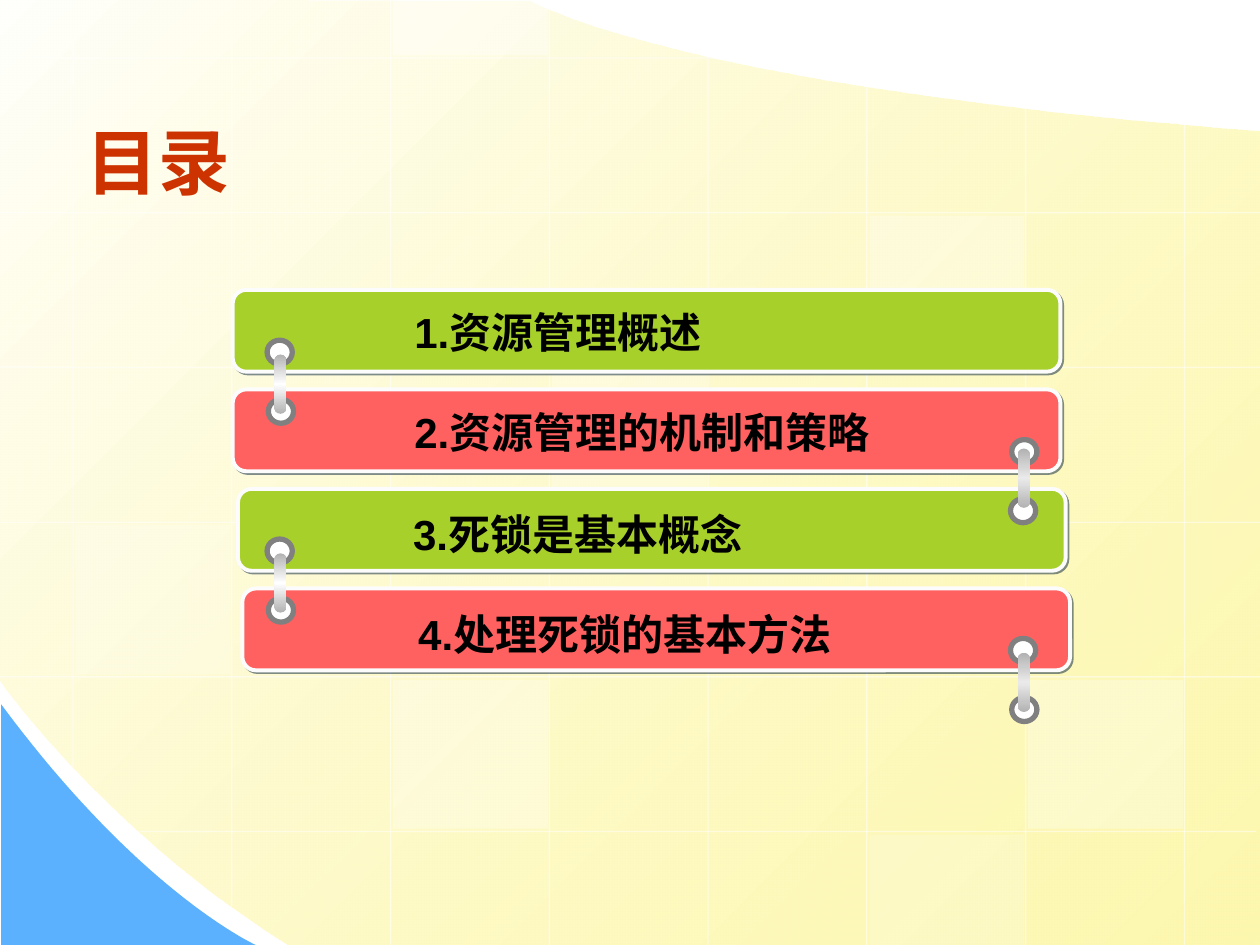
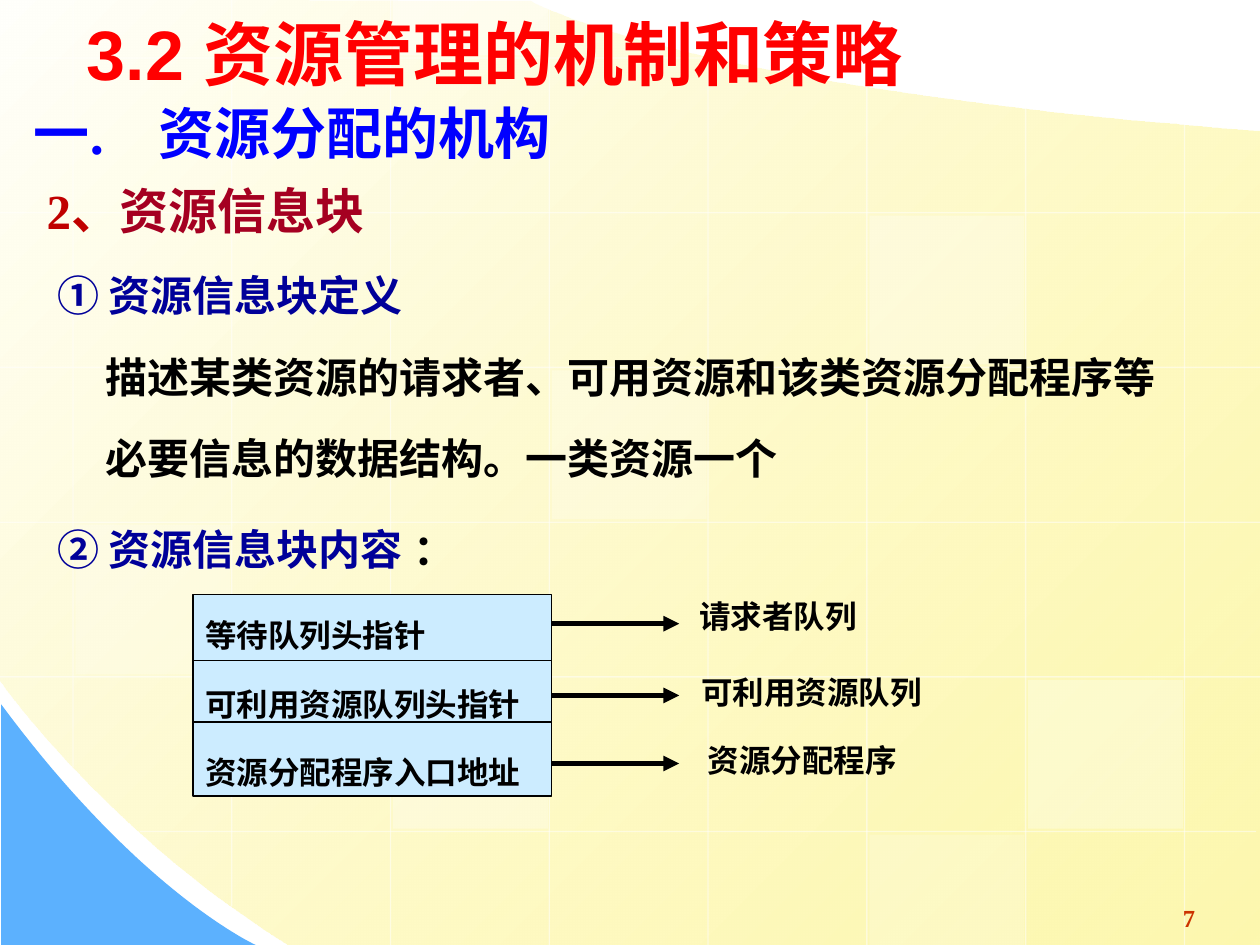
from lxml.etree import SubElement
from pptx import Presentation
from pptx.dml.color import RGBColor
from pptx.enum.shapes import MSO_CONNECTOR, MSO_SHAPE
from pptx.enum.text import MSO_ANCHOR, MSO_AUTO_SIZE, PP_ALIGN
from pptx.oxml import parse_xml
from pptx.oxml.ns import nsdecls, qn
from pptx.util import Pt

WIDTH, HEIGHT = 720, 540
WHITE, BLACK, GRAY = "FFFFFF", "000000", "808080"
GREEN, CORAL, SKY, PALE_BLUE = "A8D02A", "FF6161", "5CB1FE", "CCECFF"
RUST, RED, NAVY, BLUE = "CC3300", "FF0000", "000099", "0000FF"
SANS, SERIF, CHINESE = "Arial", "Times New Roman", "Noto Sans CJK SC"

COLUMN_START, COLUMN_STEP = 41.76, 90.72
ROW_START, ROW_STEP = 33.12, 88.42
COLUMN_SPANS = [(0, 438.5), (0, 517.7), (0, 540), (0, 541.4),
                (31, 541.4), (49, 541.4), (61.2, 541.4), (70.6, 541.4)]
ROW_SPANS = [(0, 409), (0, 720.7), (0, 720.7), (0, 720.7), (0, 720.7), (79.9, 717.8)]
TILES = [(3, 2, 25), (6, 4, 30), (0, 3, 20), (5, 5, 20), (2, -1, 40), (2, 4, 30), (5, 1, 30)]

CONTENTS_TITLE = "目录"
CONTENTS = [
    ("1.资源管理概述", GREEN, 133, (194.4, 171.4)),
    ("2.资源管理的机制和策略", CORAL, 133, (194.4, 229)),
    ("3.死锁是基本概念", GREEN, 136, (193.7, 287.3)),
    ("4.处理死锁的基本方法", CORAL, 138.5, (196.6, 344.2)),
]
CARD_TOP, CARD_STEP = 165.6, 56.88

SECTION_TITLE = "3.2 资源管理的机制和策略"
SECTION_HEADING = "一.\t资源分配的机构"
BODY = [
    (0, [("2、", dict(size=28, color="C00000")), ("资源信息块", dict(size=28, color="A50021"))]),
    (6, [("① 资源信息块定义", dict(size=24, color=NAVY))]),
    (33.5, [("描述某类资源的请求者、可用资源和该类资源分配程序等", dict(size=24))]),
    (33.5, [("必要信息的数据结构。一类资源一个", dict(size=24))]),
    (6, [("② ", dict(size=24, color=NAVY, font=CHINESE)),
         ("资源信息块内容", dict(size=24, color=NAVY)),
         (" ", dict(size=28)), ("：", dict(size=24))]),
]
FIELDS = ["等待队列头指针", "可利用资源队列头指针", "资源分配程序入口地址"]
TARGETS = [
    ("请求者队列", (392.4, 337.7, 106, 29), 356.4),
    ("可利用资源队列", (393.8, 380.9, 144, 29), 397.4),
    ("资源分配程序", (397.4, 419.8, 138, 29), 436.3),
]
DIVIDERS = [377.3, 412.6]
PAGE_NUMBER = "7"


def rgb(value):
    return RGBColor.from_string(value)


def place(shape, left, top, width, height):
    shape.left, shape.top, shape.width, shape.height = map(Pt, (left, top, width, height))


def fade(shape, alpha):
    for color in shape.element.xpath(".//a:srgbClr"):
        SubElement(color, qn("a:alpha"), val=str(alpha * 1000))


def paint(shape, fill, line=None, line_width=0.75):
    shape.shadow.inherit = False
    shape.fill.solid()
    shape.fill.fore_color.rgb = rgb(fill)
    if line:
        shape.line.color.rgb = rgb(line)
        shape.line.width = Pt(line_width)
    else:
        shape.line.fill.background()
    return shape


def add_shape(slide, kind, box, *colors):
    return paint(slide.shapes.add_shape(kind, *map(Pt, box)), *colors)


def set_gradient(shape, stops, angle):
    marks = "".join(
        f'<a:gs pos="{position * 1000}"><a:srgbClr val="{color}">'
        f'<a:alpha val="{alpha * 1000}"/></a:srgbClr></a:gs>'
        for position, color, alpha in stops)
    gradient = parse_xml(
        f'<a:gradFill {nsdecls("a")} rotWithShape="1"><a:gsLst>{marks}</a:gsLst>'
        f'<a:lin ang="{angle * 60000}" scaled="0"/></a:gradFill>')
    solid = shape.element.spPr.find(qn("a:solidFill"))
    solid.getparent().replace(solid, gradient)


def add_line(slide, start, end, color, width, arrow=False):
    line = slide.shapes.add_connector(MSO_CONNECTOR.STRAIGHT, *map(Pt, (*start, *end)))
    line.line.color.rgb = rgb(color)
    line.line.width = Pt(width)
    if arrow:
        SubElement(line.element.spPr.find(qn("a:ln")), qn("a:tailEnd"), type="triangle")
    SubElement(line.element.spPr, qn("a:effectLst"))
    return line


def curve(start, first, second, end, steps=40):
    for step in range(1, steps + 1):
        t = step / steps
        weights = ((1 - t) ** 3, 3 * t * (1 - t) ** 2, 3 * t * t * (1 - t), t ** 3)
        yield tuple(sum(w * p[axis] for w, p in zip(weights, (start, first, second, end)))
                    for axis in (0, 1))


def add_outline(slide, points, fill):
    start, *rest = [(Pt(x), Pt(y)) for x, y in points]
    builder = slide.shapes.build_freeform(*start)
    builder.add_line_segments(rest, close=True)
    return paint(builder.convert_to_shape(), fill)


def arrange(paragraph, align=PP_ALIGN.LEFT, left=0, hang=0, before=0, spacing=None):
    properties = paragraph._p.get_or_add_pPr()
    properties.set("marL", str(Pt(left)))
    properties.set("indent", str(-Pt(hang)))
    SubElement(properties, qn("a:buNone"))
    paragraph.alignment = align
    paragraph.space_before = Pt(before)
    if spacing:
        paragraph.line_spacing = spacing
    return paragraph


def write(paragraph, text, size=18, color=BLACK, font=SERIF, shadow=False):
    run = paragraph.add_run()
    run.text = text
    run.font.size = Pt(size)
    run.font.bold = True
    run.font.color.rgb = rgb(color)
    run.font.name = font
    properties = run.font._element
    properties.find(qn("a:latin")).addnext(
        parse_xml(f'<a:ea {nsdecls("a")} typeface="{CHINESE}"/>'))
    if shadow:
        properties.find(qn("a:solidFill")).addnext(parse_xml(
            f'<a:effectLst {nsdecls("a")}><a:outerShdw blurRad="38100" dist="38100" '
            'dir="2700000"><a:srgbClr val="C0C0C0"/></a:outerShdw></a:effectLst>'))


def prepare(shape, anchor=MSO_ANCHOR.TOP):
    frame = shape.text_frame
    frame.word_wrap = True
    frame.auto_size = MSO_AUTO_SIZE.NONE
    frame.vertical_anchor = anchor
    return frame


def add_text(slide, text, box, left=0, hang=0, **text_format):
    frame = prepare(slide.shapes.add_textbox(*map(Pt, box)))
    write(arrange(frame.paragraphs[0], left=left, hang=hang), text, **text_format)


def set_title(slide, text, box, **text_format):
    title = slide.shapes.title
    place(title, *box)
    frame = prepare(title, MSO_ANCHOR.MIDDLE)
    write(arrange(frame.paragraphs[0]), text, font=SANS, **text_format)


def build_background(presentation, slide):
    existing = len(slide.shapes)
    band = add_outline(slide, [
        (720, 74.88), (720, 540), (165.6, 540),
        *curve((165.6, 540), (61.92, 475.92), (-0.72, 388.08), (0, 388.08)),
        (-0.72, -0.72), (303.12, 0.72),
        *curve((303.12, 0.72), (303.12, 0.72), (386.64, 49.68), (720, 74.88))], WHITE)
    set_gradient(band, [(0, "FFFFFB", 100), (100, "FDF58D", 70)], 45)
    add_outline(slide, [
        (0.72, 402.5), (0.72, 540), (146.2, 540),
        *curve((146.2, 540), (146.2, 540), (80.64, 510.5), (0.72, 402.5))], SKY)
    for column, (top, bottom) in enumerate(COLUMN_SPANS):
        x = COLUMN_START + column * COLUMN_STEP
        fade(add_line(slide, (x, top), (x, bottom), WHITE, 0.75), 50)
    for row, (left, right) in enumerate(ROW_SPANS):
        y = ROW_START + row * ROW_STEP
        fade(add_line(slide, (left, y), (right, y), WHITE, 0.75), 50)
    for column, row, alpha in TILES:
        left = COLUMN_START + column * COLUMN_STEP + 1.4
        top = ROW_START + row * ROW_STEP + 1.7
        bottom = min(HEIGHT, top + 85)
        top = max(0, top)
        fade(add_shape(slide, MSO_SHAPE.RECTANGLE, (left, top, 88.56, bottom - top), WHITE), alpha)
    master_tree = presentation.slide_master.shapes.element
    for order, shape in enumerate(list(slide.shapes)[existing:]):
        shape.element.xpath("./*/p:cNvPr")[0].set("id", str(100 + order))
        master_tree.insert(2 + order, shape.element)


def add_card(slide, index, text, color, left, text_corner):
    box = (left, CARD_TOP + index * CARD_STEP, 473, 46.8)
    card = add_shape(slide, MSO_SHAPE.ROUNDED_RECTANGLE, box, color, "FCFCFC", 2.25)
    SubElement(SubElement(card.element.spPr.find(qn("a:effectLst")), qn("a:outerShdw"),
                          dist=str(Pt(1.4)), dir="2700000", algn="ctr"),
               qn("a:srgbClr"), val="001D3A")
    fade_target = card.element.xpath(".//a:outerShdw/a:srgbClr")[0]
    SubElement(fade_target, qn("a:alpha"), val="50000")
    add_text(slide, text, (*text_corner, 355, 36), left=36, hang=0.72,
             size=24, font=SANS, shadow=True)


def add_link(slide, index):
    on_right, flipped = index % 2 == 1, index == 1
    left = 577.44 if on_right else 152.64
    top = 194.4 + index * 56.8
    for ring in (0, 1):
        shift = 0.72 if (ring == 0) == flipped else 0
        add_shape(slide, MSO_SHAPE.OVAL, (left + shift, top + ring * 33.8, 14.4, 13.7),
                  WHITE, GRAY, 3)
    bar_top = top + (5.1 if flipped else 8.2)
    bar = add_shape(slide, MSO_SHAPE.ROUNDED_RECTANGLE, (left + 4.2, bar_top, 6.9, 33.9), WHITE)
    bar.adjustments[0] = 0.5
    middle = "EAEAEA" if on_right else WHITE
    set_gradient(bar, [(0, "B2B2B2", 100), (50, middle, 100), (100, "B2B2B2", 100)], 90)


def build_contents(slide):
    set_title(slide, CONTENTS_TITLE, (42.5, 55.4, 102.2, 72.7), size=41, color=RUST)
    for index, card in enumerate(CONTENTS):
        add_card(slide, index, *card)
    for index in range(len(CONTENTS)):
        add_link(slide, index)


def build_section(slide):
    set_title(slide, SECTION_TITLE, (42.5, 0, 648, 60.5), size=40, color=RED)
    add_text(slide, SECTION_HEADING, (12.24, 52.6, 510, 46), left=71.5, hang=71.5,
             size=32, color=BLUE)
    body = slide.placeholders[1]
    place(body, 19.44, 89.3, 680.4, 243.4)
    frame = prepare(body)
    for index, (left, runs) in enumerate(BODY):
        paragraph = frame.add_paragraph() if index else frame.paragraphs[0]
        arrange(paragraph, left=left, before=9 if index else 0, spacing=1.3)
        for text, text_format in runs:
            write(paragraph, text, **text_format)

    block_left, block_right = 110.2, 315
    block = add_shape(slide, MSO_SHAPE.RECTANGLE,
                      (block_left, 339.8, block_right - block_left, 115.2), PALE_BLUE, BLACK)
    frame = prepare(block)
    for index, field in enumerate(FIELDS):
        paragraph = frame.add_paragraph() if index else frame.paragraphs[0]
        arrange(paragraph, PP_ALIGN.JUSTIFY, before=9 if index else 0, spacing=1.4)
        write(paragraph, field)
    for y in DIVIDERS:
        add_line(slide, (block_left, y), (block_right, y), BLACK, 0.75)
    for index, (label, box, y) in enumerate(TARGETS):
        arrow = add_line(slide, (block_right, y), (388.1, y), BLACK, 3, arrow=True)
        if index == 1:
            arrow.begin_connect(block, 3)
        add_text(slide, label, box)
    add_text(slide, PAGE_NUMBER, (668.9, 512.6, 29.5, 24.5), size=14, color=RUST)


def main():
    presentation = Presentation()
    presentation.slide_width, presentation.slide_height = Pt(WIDTH), Pt(HEIGHT)
    contents = presentation.slides.add_slide(presentation.slide_layouts[5])
    build_background(presentation, contents)
    build_contents(contents)
    build_section(presentation.slides.add_slide(presentation.slide_layouts[1]))
    presentation.save("out.pptx")


if __name__ == "__main__":
    main()
